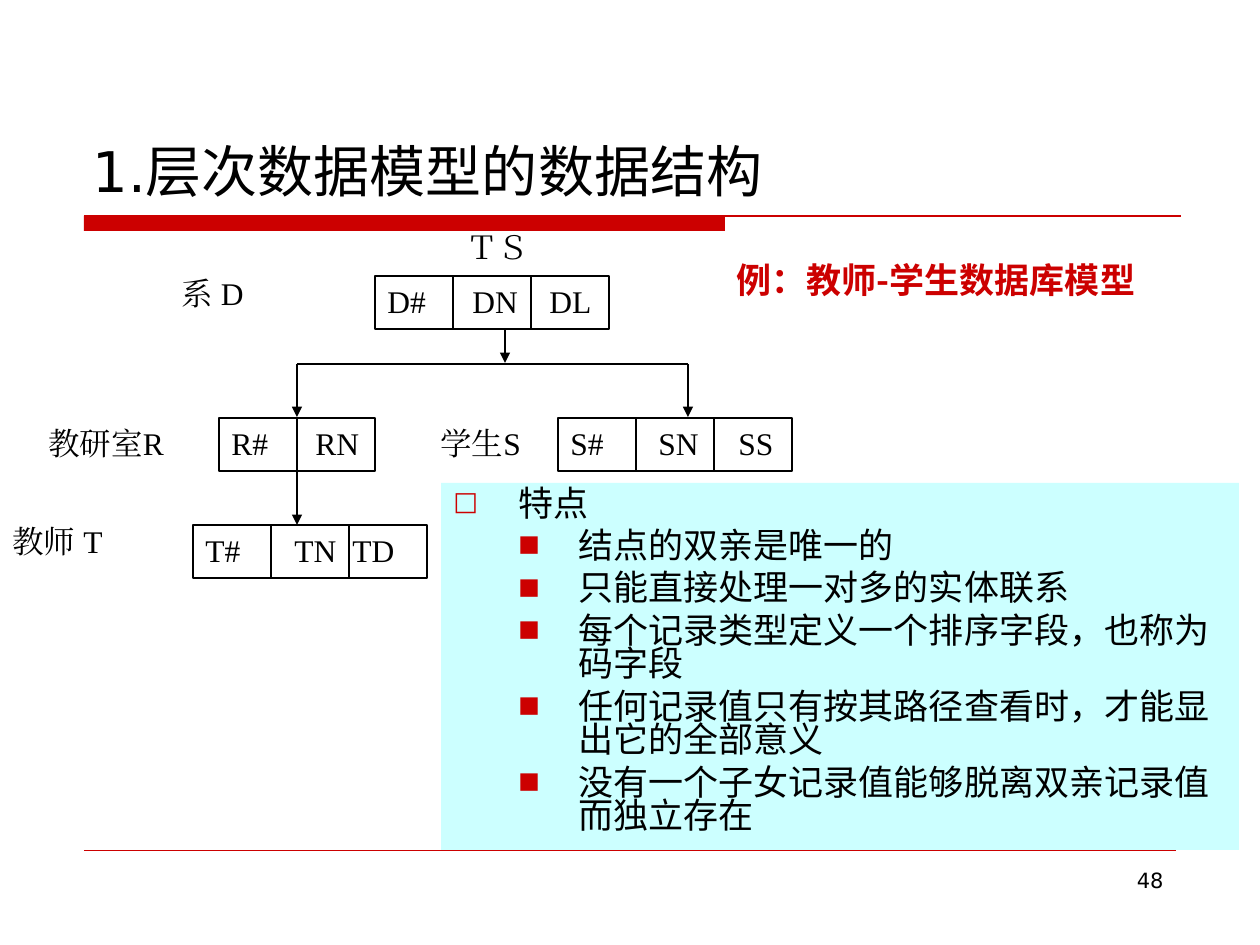
from lxml import etree
from pptx import Presentation
from pptx.dml.color import RGBColor
from pptx.enum.shapes import MSO_CONNECTOR, MSO_SHAPE
from pptx.enum.text import MSO_ANCHOR, PP_ALIGN
from pptx.oxml.ns import qn
from pptx.util import Emu, Pt

RECTANGLE = MSO_SHAPE.RECTANGLE
STRAIGHT = MSO_CONNECTOR.STRAIGHT
LEFT, RIGHT, JUSTIFY = PP_ALIGN.LEFT, PP_ALIGN.RIGHT, PP_ALIGN.JUSTIFY
TOP, BOTTOM = MSO_ANCHOR.TOP, MSO_ANCHOR.BOTTOM
PX = 914400 / 126

THEME = {
    "red": RGBColor(0xCC, 0x00, 0x00),
    "black": RGBColor(0x00, 0x00, 0x00),
    "white": RGBColor(0xFF, 0xFF, 0xFF),
    "panel": RGBColor(0xCC, 0xFF, 0xFF),
    "sans": "DejaVu Sans",
    "serif": "Times New Roman",
    "chinese": "Noto Sans CJK SC",
    "title": Pt(32),
    "body": Pt(20),
    "label": Pt(18),
    "number": Pt(12),
    "rule": Pt(0.75),
    "hairline": Pt(0.25),
}

deck = Presentation()
deck.slide_width, deck.slide_height = Emu(round(1260 * PX)), Emu(round(945 * PX))
page = deck.slides.add_slide(deck.slide_layouts[6])


def write(para, text, size, font, color=THEME["black"], bold=False):
    span = para.add_run()
    span.text = text
    span.font.size = size
    span.font.name = font
    span.font.bold = bold
    span.font.color.rgb = color
    etree.SubElement(span.font._element, qn("a:ea"), typeface=font)


def connect(x1, y1, x2, y2, color=THEME["black"], width=THEME["rule"], arrow=False):
    ends = [Emu(round(value * PX)) for value in (x1, y1, x2, y2)]
    line = page.shapes.add_connector(STRAIGHT, *ends)
    line.line.color.rgb = color
    line.line.width = width
    if arrow:
        etree.SubElement(line.line._get_or_add_ln(), qn("a:tailEnd"), type="triangle")
    etree.SubElement(line._element.spPr, qn("a:effectLst"))


connect(84, 216, 1181, 216, THEME["red"])
connect(84, 850, 1176, 850, THEME["red"], THEME["hairline"])

texts = [
    ("48", (903, 861, 273, 65), "number", "sans", "black", RIGHT, TOP, False),
    ("1.层次数据模型的数据结构", (80, 42, 1102, 168), "title", "sans", "black", LEFT, BOTTOM, False),
    ("例：教师-学生数据库模型", (724, 252, 483, 56), "body", "chinese", "red", LEFT, TOP, True),
    ("ＴＳ", (454, 222, 130, 54), "label", "serif", "black", JUSTIFY, TOP, False),
    ("系 D", (169, 268, 182, 72), "label", "serif", "black", JUSTIFY, TOP, False),
    ("教研室R", (36, 418, 182, 72), "label", "serif", "black", JUSTIFY, TOP, False),
    ("学生S", (428, 418, 130, 53), "label", "serif", "black", JUSTIFY, TOP, False),
    ("教师 T", (0, 516, 182, 72), "label", "serif", "black", JUSTIFY, TOP, False),
]
for text, place, size, font, color, align, anchor, bold in texts:
    box = page.shapes.add_textbox(*[Emu(round(value * PX)) for value in place])
    box.text_frame.word_wrap = True
    box.text_frame.vertical_anchor = anchor
    para = box.text_frame.paragraphs[0]
    para.alignment = align
    write(para, text, THEME[size], THEME[font], THEME[color], bold)

CELL, ROW = 78, 53
records = [
    (375, 276, ["D#", "DN", "DL"], [85, 162]),
    (219, 418, ["R#", "RN"], [84]),
    (558, 418, ["S#", "SN", "SS"], [88, 168]),
    (193, 525, ["T#", "TN", "TD"], [89, 147]),
]
for left, top, fields, stops in records:
    place = (left, top, CELL * len(fields), ROW)
    record = page.shapes.add_shape(RECTANGLE, *[Emu(round(value * PX)) for value in place])
    record.shadow.inherit = False
    record.fill.solid()
    record.fill.fore_color.rgb = THEME["white"]
    record.line.color.rgb = THEME["black"]
    record.line.width = THEME["rule"]
    record.text_frame.word_wrap = True
    record.text_frame.vertical_anchor = TOP
    para = record.text_frame.paragraphs[0]
    para.alignment = LEFT
    tabs = etree.SubElement(para._p.get_or_add_pPr(), qn("a:tabLst"))
    for stop in stops:
        etree.SubElement(tabs, qn("a:tab"), pos=str(round(stop * PX)), algn="l")
    write(para, "\t".join(fields), THEME["label"], THEME["serif"])
    for index in range(1, len(fields)):
        connect(left + CELL * index, top, left + CELL * index, top + ROW)

connect(297, 364, 688, 364)
for x, start, end in [(505, 329, 363), (297, 364, 417), (688, 364, 417), (297, 471, 525)]:
    connect(x, start, x, end, arrow=True)

header = page.shapes.add_shape(RECTANGLE, *[Emu(round(value * PX)) for value in (84, 216, 641, 15)])
header.shadow.inherit = False
header.fill.solid()
header.fill.fore_color.rgb = THEME["red"]
header.line.fill.background()

panel = page.shapes.add_shape(RECTANGLE, *[Emu(round(value * PX)) for value in (441, 483, 798, 367)])
panel.shadow.inherit = False
panel.fill.solid()
panel.fill.fore_color.rgb = THEME["panel"]
panel.line.fill.background()
frame = panel.text_frame
frame.word_wrap = True
frame.vertical_anchor = TOP
points = [
    "特点",
    "结点的双亲是唯一的",
    "只能直接处理一对多的实体联系",
    "每个记录类型定义一个排序字段，也称为码字段",
    "任何记录值只有按其路径查看时，才能显出它的全部意义",
    "没有一个子女记录值能够脱离双亲记录值而独立存在",
]
for index, text in enumerate(points):
    para = frame.add_paragraph() if index else frame.paragraphs[0]
    level = 1 if index else 0
    margin, hanging, bullet, percent = [(65, 65, "□", 75), (125, 60, "■", 65)][level]
    props = para._p.get_or_add_pPr()
    props.set("marL", str(round(margin * PX)))
    props.set("indent", str(round(-hanging * PX)))
    color = etree.SubElement(props, qn("a:buClr"))
    etree.SubElement(color, qn("a:srgbClr"), val=str(THEME["red"]))
    etree.SubElement(props, qn("a:buSzPct"), val=str(percent * 1000))
    etree.SubElement(props, qn("a:buFont"), typeface=THEME["sans"])
    etree.SubElement(props, qn("a:buChar"), char=bullet)
    para.level = level
    para.alignment = LEFT
    para.line_spacing = 0.8
    if index:
        para.space_before = Pt(5)
    write(para, text, THEME["body"], THEME["sans"])

deck.save("out.pptx")
